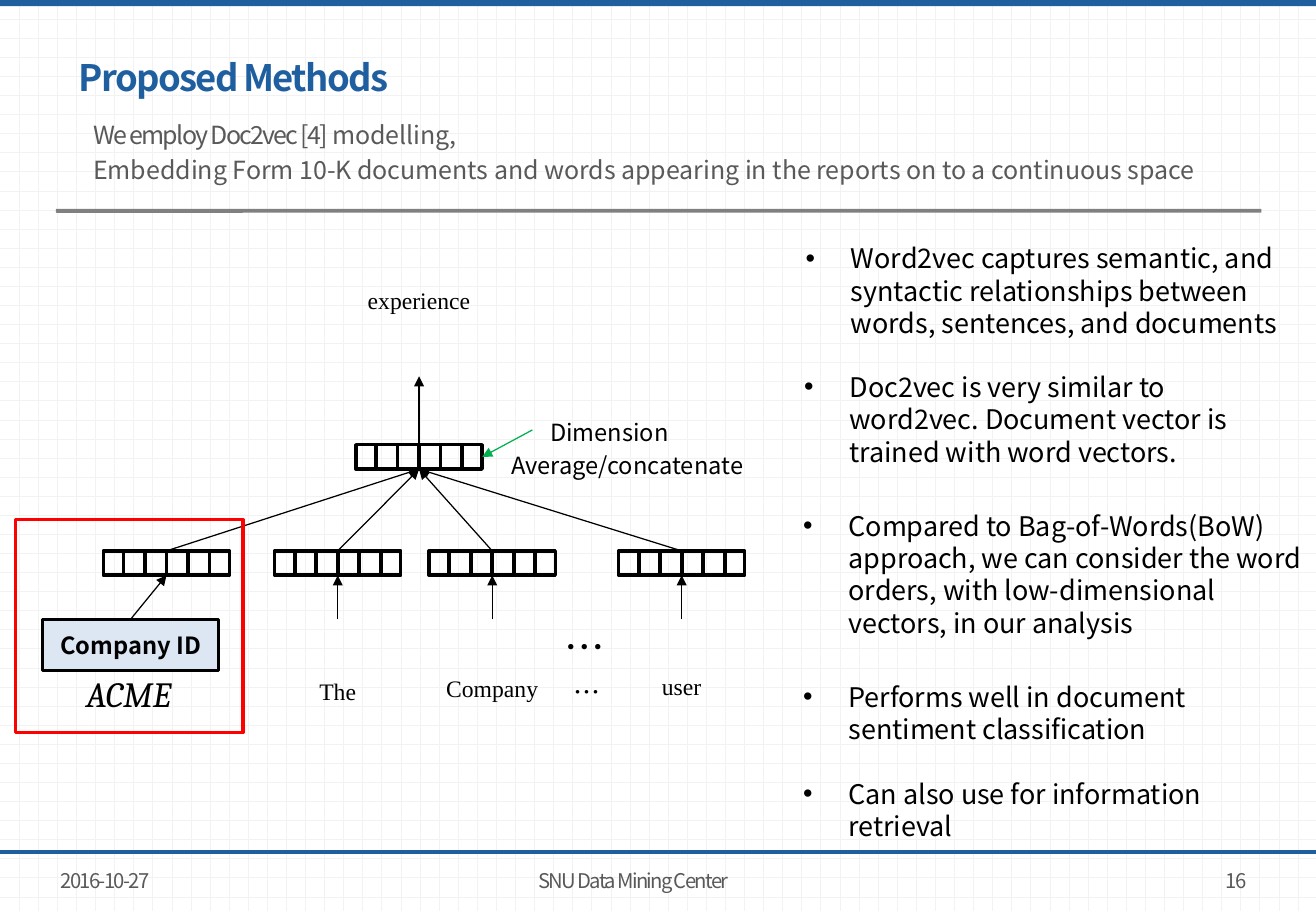
"""Build the Proposed Methods slide with its document embedding diagram."""
from dataclasses import dataclass

from lxml import etree
from pptx import Presentation
from pptx.dml.color import RGBColor
from pptx.enum.dml import MSO_PATTERN
from pptx.enum.shapes import MSO_CONNECTOR, MSO_SHAPE
from pptx.enum.text import MSO_ANCHOR, PP_ALIGN
from pptx.oxml.ns import qn
from pptx.util import Cm, Pt

RECTANGLE, ROUNDED = MSO_SHAPE.RECTANGLE, MSO_SHAPE.ROUNDED_RECTANGLE
STRAIGHT = MSO_CONNECTOR.STRAIGHT
LEFT, CENTER, RIGHT = PP_ALIGN.LEFT, PP_ALIGN.CENTER, PP_ALIGN.RIGHT
TOP, MIDDLE = MSO_ANCHOR.TOP, MSO_ANCHOR.MIDDLE
DOT_GRID = MSO_PATTERN.DOTTED_GRID
SIDE_TOP, SIDE_BOTTOM, SIDE_RIGHT = 0, 2, 3


@dataclass(frozen=True)
class Theme:
    sans: str = "Noto Sans CJK KR"
    serif: str = "Times New Roman"
    math: str = "Cambria"
    blue: str = "1F5FA0"
    gray: str = "595959"
    rule: str = "808080"
    grid: str = "F2F2F2"
    white: str = "FFFFFF"
    black: str = "000000"
    red: str = "FF0000"
    green: str = "00B050"
    pale: str = "DDE6F3"
    title: float = 21.6
    symbol: float = 21
    large: float = 24
    bullet: float = 16
    lead: float = 14.8
    label: float = 14
    footer: float = 12


THEME = Theme()
SLIDE_WIDTH, SLIDE_HEIGHT = 27.51, 19.05
VECTOR_WIDTH, VECTOR_HEIGHT, CELL_PITCH, CELLS = 2.64, 0.51, 0.45, 6
VECTOR_TOP, WORD_ARROW_TOP = 11.52, 12.95
HIDDEN_LEFT, HIDDEN_TOP = 7.44, 9.3
LABEL_WIDTH, LABEL_HEIGHT = 2.92, 0.86
WORDS = [("The", 5.74, 14.02), ("Company", 8.97, 13.97), ("user", 12.93, 13.92)]
BULLETS = [
    ((16.59, 4.93, 10.36, 2.31),
     ["Word2vec captures semantic, and syntactic relationships between words, "
      "sentences, and documents"]),
    ((16.56, 7.62, 10.36, 2.31),
     ["Doc2vec is very similar to word2vec. Document vector is trained with "
      "word vectors."]),
    ((16.54, 10.52, 10.92, 3),
     ["Compared to Bag-of-Words(BoW) approach, we can consider the word orders, "
      "with low-dimensional vectors, in our analysis"]),
    ((16.54, 14.1, 10.57, 3.68),
     ["Performs well in document sentiment classification",
      "Can also use for information retrieval"]),
]


def color(value):
    """Turn a hex string into a colour."""
    return RGBColor.from_string(value)


def add_run(paragraph, text, size, ink=THEME.black, font=THEME.sans,
            bold=False, italic=False, spacing=0):
    """Add one formatted run; spacing is in points."""
    run = paragraph.add_run()
    run.text = text
    run.font.size, run.font.name = Pt(size), font
    run.font.bold, run.font.italic = bold, italic
    run.font.color.rgb = color(ink)
    properties = run.font._element
    etree.SubElement(properties, qn("a:ea")).set("typeface", font)
    if spacing:
        properties.set("spc", str(int(spacing * 100)))


def add_text_box(slide, box, anchor=TOP, inset=(0.25, 0.13), wrap=True):
    """Add an empty text box and return its text frame."""
    frame = slide.shapes.add_textbox(*map(Cm, box)).text_frame
    frame.word_wrap, frame.vertical_anchor = wrap, anchor
    frame.margin_left = frame.margin_right = Cm(inset[0])
    frame.margin_top = frame.margin_bottom = Cm(inset[1])
    return frame


def add_label(slide, box, text, size, align=LEFT, anchor=TOP, wrap=True, **style):
    """Add a text box with a single run."""
    paragraph = add_text_box(slide, box, anchor, wrap=wrap).paragraphs[0]
    paragraph.alignment = align
    add_run(paragraph, text, size, **style)


def add_box(shapes, box, kind=RECTANGLE, fill=None, line=None):
    """Add a preset shape with an optional fill and outline."""
    shape = shapes.add_shape(kind, *map(Cm, box))
    shape.shadow.inherit = False
    if fill:
        shape.fill.solid()
        shape.fill.fore_color.rgb = color(fill)
    else:
        shape.fill.background()
    if line:
        shape.line.color.rgb = color(line)
        shape.line.width = Pt(2)
    else:
        shape.line.fill.background()
    return shape


def add_line(shapes, start, end, ink=THEME.black, width=0.75, arrow=True):
    """Add a line between points or (shape, side) pairs."""
    joins = [point if not isinstance(point[0], (int, float)) else None
             for point in (start, end)]
    places = [(0, 0) if join else point for join, point in zip(joins, (start, end))]
    line = shapes.add_connector(STRAIGHT, *map(Cm, places[0] + places[1]))
    if joins[0]:
        line.begin_connect(*joins[0])
    if joins[1]:
        line.end_connect(*joins[1])
    line.line.color.rgb = color(ink)
    line.line.width = Pt(width)
    if arrow:
        outline = line.line._get_or_add_ln()
        etree.SubElement(outline, qn("a:tailEnd")).set("type", "triangle")
    etree.SubElement(line._element.spPr, qn("a:effectLst"))


def add_vector(slide, left, top):
    """Add a grouped row of vector cells and return its outer rectangle."""
    shapes = slide.shapes.add_group_shape().shapes
    outer = add_box(shapes, (left, top, VECTOR_WIDTH, VECTOR_HEIGHT), line=THEME.black)
    for divider in range(1, CELLS):
        x = left + VECTOR_WIDTH / 2 + (divider - CELLS / 2) * CELL_PITCH
        add_line(shapes, (x, top), (x, top + VECTOR_HEIGHT), width=2.25, arrow=False)
    return outer


def add_word(slide, text, vector_left, top):
    """Add a word label centred on a vector."""
    left = vector_left + (VECTOR_WIDTH - LABEL_WIDTH) / 2
    add_label(slide, (left, top, LABEL_WIDTH, LABEL_HEIGHT), text, THEME.label,
              CENTER, font=THEME.serif)


def add_bullets(slide, box, texts):
    """Add a text box of bulleted paragraphs."""
    frame = add_text_box(slide, box)
    for index, text in enumerate(texts):
        paragraph = frame.add_paragraph() if index else frame.paragraphs[0]
        properties = paragraph._p.get_or_add_pPr()
        properties.set("marL", str(Cm(0.95)))
        properties.set("indent", str(-Cm(0.95)))
        etree.SubElement(properties, qn("a:buFont")).set("typeface", "Arial")
        etree.SubElement(properties, qn("a:buChar")).set("char", "•")
        if index:
            paragraph.space_before = Pt(19.2)
        add_run(paragraph, text, THEME.bullet)


def add_page_frame(slide):
    """Add the background, bars and footer."""
    fill = slide.background.fill
    fill.patterned()
    fill.pattern = DOT_GRID
    fill.fore_color.rgb, fill.back_color.rgb = color(THEME.grid), color(THEME.white)
    add_box(slide.shapes, (0, 0, SLIDE_WIDTH, 0.13), fill=THEME.blue)
    add_box(slide.shapes, (0, 17.78, SLIDE_WIDTH, 0.08), fill=THEME.blue)
    add_box(slide.shapes, (1.17, 4.37, 25.2, 0.08), ROUNDED, THEME.rule)
    for left, width, text, align in [(1.02, 6.38, "2016-10-27", LEFT),
                                     (7.95, 10.59, "SNU Data Mining Center", CENTER),
                                     (19.3, 7.01, "16", RIGHT)]:
        add_label(slide, (left, 17.91, width, 1.02), text, THEME.footer, align, MIDDLE,
                  ink=THEME.gray, spacing=-1)


def add_heading(slide):
    """Add the title and the two lead lines."""
    add_label(slide, (1.4, 1.07, 24.56, 1.07), "Proposed Methods", THEME.title,
              anchor=MIDDLE, ink=THEME.blue, bold=True, spacing=-1)
    frame = add_text_box(slide, (1.65, 2.36, 24.1, 1.78), inset=(0.3, 0.15))
    first, second = frame.paragraphs[0], frame.add_paragraph()
    second.space_before = Pt(3)
    add_run(first, "We employ Doc2vec [4] ", THEME.lead, THEME.gray, spacing=-1)
    add_run(first, "modelling,", THEME.lead, THEME.gray)
    add_run(second, "Embedding Form 10-K documents and words appearing in the reports "
            "on to a continuous space", THEME.lead, THEME.gray)


def add_diagram(slide):
    """Add the network from company and words up to the predicted word."""
    shapes = slide.shapes
    hidden = add_vector(slide, HIDDEN_LEFT, HIDDEN_TOP)
    for text, left, label_top in WORDS:
        vector = add_vector(slide, left, VECTOR_TOP)
        add_line(shapes, (left + VECTOR_WIDTH / 2, WORD_ARROW_TOP), (vector, SIDE_BOTTOM))
        add_line(shapes, (vector, SIDE_TOP), (hidden, SIDE_BOTTOM))
        add_word(slide, text, left, label_top)
    add_line(shapes, (hidden, SIDE_TOP), (HIDDEN_LEFT + VECTOR_WIDTH / 2, 7.87))
    add_word(slide, "experience", HIDDEN_LEFT, 5.84)

    company_vector = add_vector(slide, 2.16, VECTOR_TOP)
    company = add_box(shapes, (0.89, WORD_ARROW_TOP, 3.68, 1.07),
                      fill=THEME.pale, line=THEME.black)
    company.text_frame.vertical_anchor = MIDDLE
    paragraph = company.text_frame.paragraphs[0]
    paragraph.alignment = CENTER
    add_run(paragraph, "Company ID", THEME.label, bold=True)
    add_line(shapes, (company, SIDE_TOP), (company_vector, SIDE_BOTTOM))
    add_line(shapes, (company_vector, SIDE_TOP), (hidden, SIDE_BOTTOM))
    add_box(shapes, (0.33, 10.87, 4.75, 4.45), line=THEME.red)
    add_label(slide, (1.55, 13.92, 2.41, 1.14), "ACME", THEME.symbol,
              font=THEME.math, italic=True)

    add_label(slide, (11.25, 8.61, 3.3, 0.86), "Dimension", THEME.label)
    add_label(slide, (10.44, 9.3, 5.77, 0.86), "Average/concatenate", THEME.label)
    add_line(shapes, (11.13, 8.99), (hidden, SIDE_RIGHT), THEME.green)
    add_label(slide, (11.56, 12.88, 1.19, 1.27), "…", THEME.large, wrap=False)
    add_label(slide, (11.73, 14, 1.02, 0.94), "…", THEME.bullet, wrap=False)


def main():
    """Build and save the slide."""
    presentation = Presentation()
    presentation.slide_width, presentation.slide_height = Cm(SLIDE_WIDTH), Cm(SLIDE_HEIGHT)
    slide = presentation.slides.add_slide(presentation.slide_layouts[6])
    add_page_frame(slide)
    add_heading(slide)
    add_diagram(slide)
    for box, texts in BULLETS:
        add_bullets(slide, box, texts)
    presentation.save("out.pptx")


if __name__ == "__main__":
    main()
